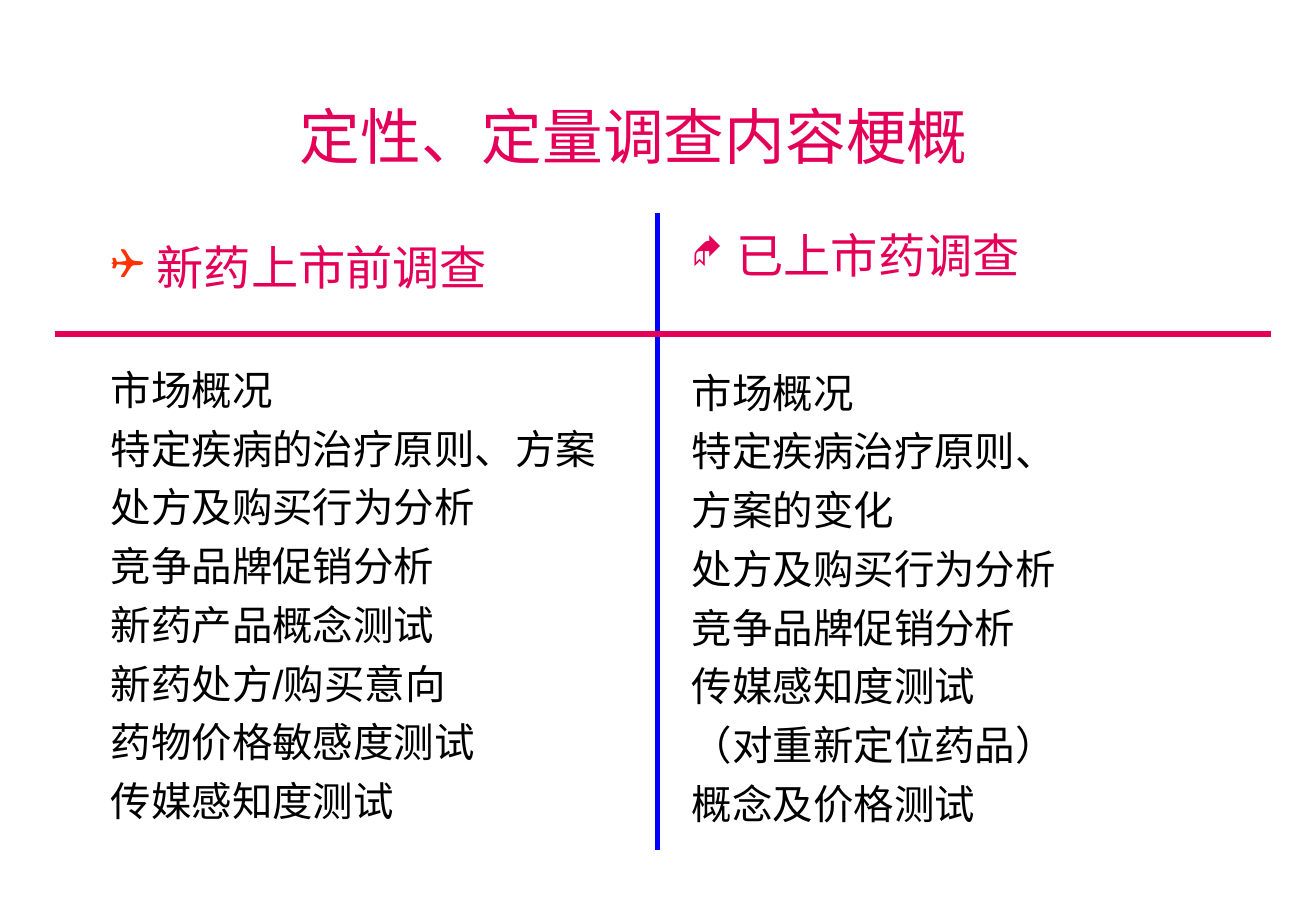
from lxml.etree import SubElement
from pptx import Presentation
from pptx.dml.color import RGBColor
from pptx.enum.shapes import MSO_CONNECTOR
from pptx.enum.text import MSO_ANCHOR, MSO_AUTO_SIZE, PP_ALIGN
from pptx.oxml.ns import qn
from pptx.util import Pt

PINK, ORANGE, BLUE, BLACK = "E40059", "FF3300", "0000FF", "000000"
CJK_FONT = "Noto Sans CJK SC"

BEFORE_LAUNCH = [
    "市场概况",
    "特定疾病的治疗原则、方案",
    "处方及购买行为分析",
    "竞争品牌促销分析",
    "新药产品概念测试",
    "新药处方/购买意向",
    "药物价格敏感度测试",
    "传媒感知度测试",
]
AFTER_LAUNCH = [
    "市场概况",
    "特定疾病治疗原则、",
    "方案的变化",
    "处方及购买行为分析",
    "竞争品牌促销分析",
    "传媒感知度测试",
    "（对重新定位药品）",
    "概念及价格测试",
]


def rgb(value):
    return RGBColor.from_string(value)


def style_paragraph(para, size, color, font):
    """Format the runs with a Latin and an East Asian font and even line height."""
    para.line_spacing = Pt(1.2 * size)
    for span in para.runs:
        span.font.size = Pt(size)
        span.font.name = font
        span.font.color.rgb = rgb(color)
        properties = span.font._element
        SubElement(properties, qn("a:ea")).set("typeface", CJK_FONT)


def add_bullet(para, char, color, percent, indent):
    properties = para._p.get_or_add_pPr()
    properties.set("marL", str(Pt(indent)))
    properties.set("indent", str(-Pt(indent)))
    bullet_color = SubElement(properties, qn("a:buClr"))
    SubElement(bullet_color, qn("a:srgbClr")).set("val", color)
    SubElement(properties, qn("a:buSzPct")).set("val", str(percent * 1000))
    SubElement(properties, qn("a:buFont")).set("typeface", "Wingdings")
    SubElement(properties, qn("a:buChar")).set("char", char)


def add_title(page, left, top, width, height):
    title = page.shapes.title
    title.left, title.top = Pt(left), Pt(top)
    title.width, title.height = Pt(width), Pt(height)
    frame = title.text_frame
    frame.auto_size = MSO_AUTO_SIZE.NONE
    frame.vertical_anchor = MSO_ANCHOR.BOTTOM
    frame.text = "定性、定量调查内容梗概"
    para = frame.paragraphs[0]
    para.alignment = PP_ALIGN.CENTER
    style_paragraph(para, 36, PINK, CJK_FONT)


def add_text(page, left, top, width, height, text):
    box = page.shapes.add_textbox(Pt(left), Pt(top), Pt(width), Pt(height))
    frame = box.text_frame
    frame.word_wrap = True
    frame.text = text
    return frame


def add_heading(page, left, top, width, text, bullet):
    frame = add_text(page, left, top, width, 41, text)
    para = frame.paragraphs[0]
    add_bullet(para, *bullet)
    style_paragraph(para, 28, PINK, "Arial")


def add_topics(page, left, top, width, topics, font):
    frame = add_text(page, left, top, width, 280, "\n".join(topics))
    for index, para in enumerate(frame.paragraphs):
        if index:
            para.space_before = Pt(6)
        style_paragraph(para, 24, BLACK, font)


def add_rule(page, x1, y1, x2, y2, color):
    rule = page.shapes.add_connector(
        MSO_CONNECTOR.STRAIGHT, Pt(x1), Pt(y1), Pt(x2), Pt(y2))
    rule.line.color.rgb = rgb(color)
    rule.line.width = Pt(3)
    SubElement(rule._element.spPr, qn("a:effectLst"))


def main():
    deck = Presentation()
    deck.slide_width, deck.slide_height = Pt(780.48), Pt(540)
    page = deck.slides.add_slide(deck.slide_layouts[5])

    add_title(page, 47.5, 18.5, 656.6, 87)
    add_heading(page, 58.5, 138, 331, "新药上市前调查", ("❑", ORANGE, 90, 27.4))
    add_topics(page, 58.5, 212.8, 331, BEFORE_LAUNCH, "Arial")
    add_rule(page, 390.2, 126, 390.2, 504, BLUE)
    add_rule(page, 32.4, 198, 753.8, 198, PINK)
    add_heading(page, 403.2, 130.8, 318, "已上市药调查", ("◆", PINK, 75, 26.6))
    add_topics(page, 403.2, 214.4, 338, AFTER_LAUNCH, "Times New Roman")
    deck.save("out.pptx")


if __name__ == "__main__":
    main()
